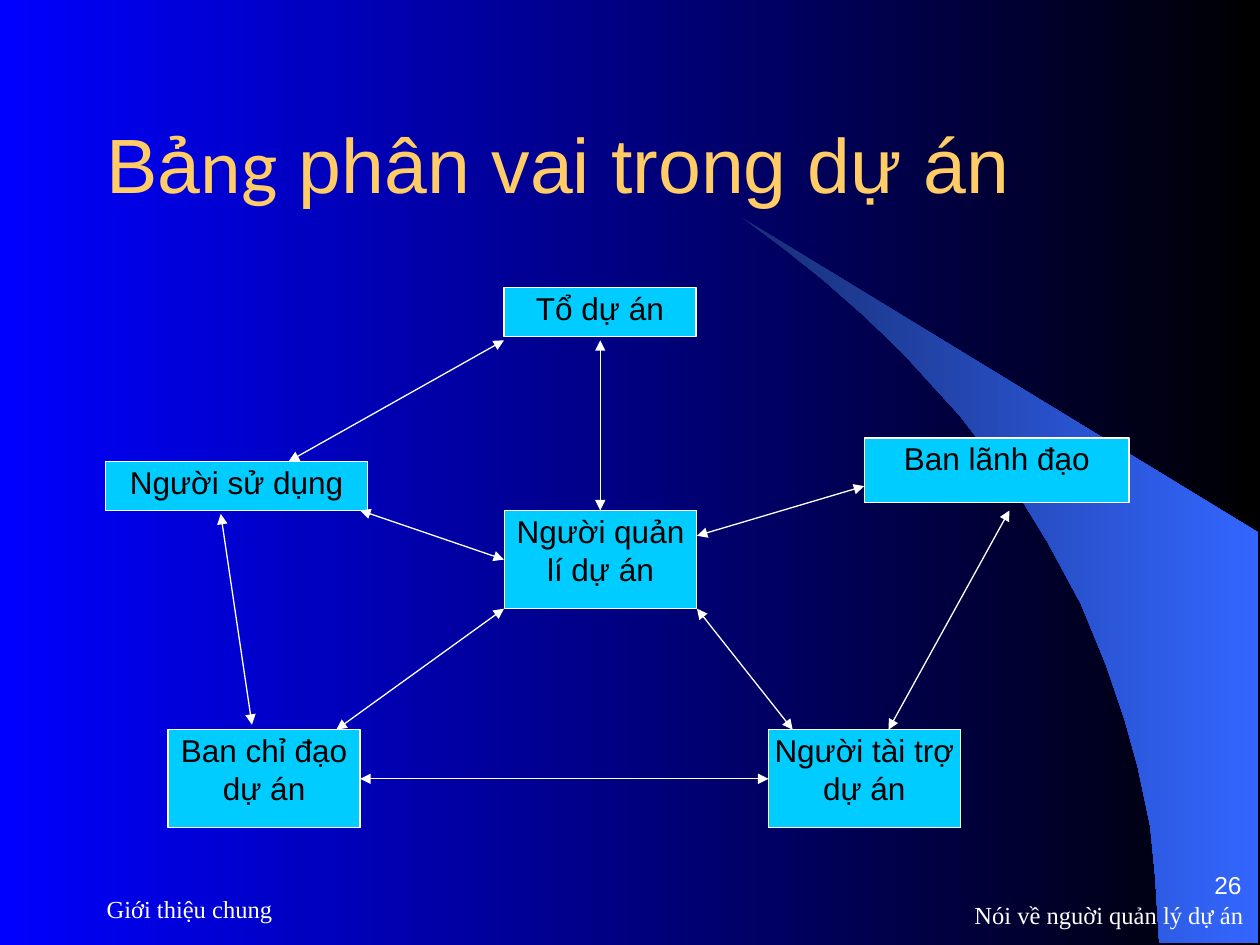
from dataclasses import dataclass

from lxml.etree import SubElement
from pptx import Presentation
from pptx.dml.color import RGBColor as RGB
from pptx.enum.shapes import MSO_CONNECTOR as LINE, MSO_SHAPE as SHAPE
from pptx.enum.text import MSO_ANCHOR as ANCHOR, PP_ALIGN as ALIGN
from pptx.oxml.ns import qn
from pptx.util import Cm, Pt


@dataclass(frozen=True)
class Theme:
    bg: tuple = ("0000FF", "000000")
    crescent: tuple = ("182F76", "3366FF")
    title: str = "FFCC66"
    light: str = "FFFFFF"
    dark: str = "000000"
    box: str = "00CCFF"
    sans: str = "Arial"
    serif: str = "Times New Roman"
    accent_font: str = "Calibri"
    title_size: int = 44
    box_size: int = 18
    footer_size: int = 14
    line: float = 0.75


class Deck:
    def __init__(self, theme):
        self.theme = theme
        self.prs = Presentation()
        self.prs.slide_width, self.prs.slide_height = Cm(25.4), Cm(19.05)
        self.s = self.prs.slides.add_slide(self.prs.slide_layouts[6])
        self.gradient(self.s.background.fill, theme.bg)

    def gradient(self, fill, colors):
        fill.gradient()
        fill.gradient_angle = 0
        for stop, color, position in zip(fill.gradient_stops, colors, (0, 1)):
            stop.color.rgb = RGB.from_string(color)
            stop.position = position

    def font(self, p, name, size, color):
        p.font.name, p.font.size = name, Pt(size)
        p.font.color.rgb = RGB.from_string(color)

    def stroke(self, line):
        line.color.rgb = RGB.from_string(self.theme.light)
        line.width = Pt(self.theme.line)

    def freeform(self, points, colors):
        pts = [(Cm(x), Cm(y)) for x, y in points]
        fb = self.s.shapes.build_freeform(*pts[0], scale=1.0)
        fb.add_line_segments(pts[1:], close=True)
        sp = fb.convert_to_shape()
        sp.shadow.inherit = False
        self.gradient(sp.fill, colors)
        sp.line.fill.background()

    def text(self, x, y, w, h, anchor=ANCHOR.MIDDLE):
        tf = self.s.shapes.add_textbox(Cm(x), Cm(y), Cm(w), Cm(h)).text_frame
        tf.word_wrap, tf.vertical_anchor = True, anchor
        return tf

    def title(self, runs, *place):
        t = self.theme
        p = self.text(*place).paragraphs[0]
        self.font(p, t.sans, t.title_size, t.title)
        for text, name in runs:
            r = p.add_run()
            r.text, r.font.name = text, name

    def footer(self, text, *place, name=None, align=ALIGN.RIGHT,
               anchor=ANCHOR.MIDDLE):
        t = self.theme
        tf = self.text(*place, anchor=anchor)
        if anchor == ANCHOR.BOTTOM:
            tf.margin_top = tf.margin_bottom = 0
        p = tf.paragraphs[0]
        p.text, p.alignment = text, align
        self.font(p, name or t.serif, t.footer_size, t.light)

    def box(self, text, x, y, w, h):
        t = self.theme
        sp = self.s.shapes.add_shape(SHAPE.RECTANGLE, Cm(x), Cm(y), Cm(w), Cm(h))
        sp.shadow.inherit = False
        sp.fill.solid()
        sp.fill.fore_color.rgb = RGB.from_string(t.box)
        self.stroke(sp.line)
        tf = sp.text_frame
        tf.word_wrap, tf.vertical_anchor = True, ANCHOR.TOP
        tf.margin_left = tf.margin_right = Cm(0.05)
        tf.margin_top = tf.margin_bottom = Cm(0.03)
        p = tf.paragraphs[0]
        p.text, p.alignment = text, ALIGN.CENTER
        self.font(p, t.sans, t.box_size, t.dark)

    def arrow(self, *ends):
        c = self.s.shapes.add_connector(LINE.STRAIGHT, *map(Cm, ends))
        self.stroke(c.line)
        ln = c.line._get_or_add_ln()
        for end in ("a:headEnd", "a:tailEnd"):
            SubElement(ln, qn(end), type="triangle")
        SubElement(c._element.spPr, qn("a:effectLst"))


CRESCENT = [
    (23.37, 19), (25.37, 19.02), (25.37, 10.74), (14.96, 4.39),
    (15.85, 5.05), (16.59, 5.64), (17.4, 6.35), (18.19, 7.11),
    (19.35, 8.38), (20.4, 9.75), (21.13, 10.95), (21.79, 12.17),
    (22.3, 13.41), (22.68, 14.53), (22.94, 15.47), (23.19, 16.66),
    (23.29, 17.68),
]

ROLES = [
    ("Người sử dụng", 2.13, 9.31, 5.28, 0.99),
    ("Tổ dự án", 10.16, 5.79, 3.87, 0.99),
    ("Ban lãnh đạo", 17.43, 8.83, 5.33, 1.3),
    ("Ban chỉ đạo dự án", 3.39, 14.71, 3.87, 1.98),
    ("Người tài trợ dự án", 15.49, 14.71, 3.87, 1.98),
    ("Người quản lí dự án", 10.17, 10.29, 3.87, 1.98),
]

LINKS = [
    (7.26, 15.7, 15.49, 15.7),
    (7.26, 10.29, 10.16, 11.28),
    (6.78, 14.71, 10.16, 12.27),
    (14.05, 12.27, 15.98, 14.71),
    (20.35, 10.29, 17.91, 14.71),
    (14.05, 10.8, 17.42, 9.8),
    (12.1, 10.29, 12.1, 6.86),
    (5.82, 9.3, 10.16, 6.86),
    (4.45, 10.36, 5.08, 14.61),
]


def main():
    t = Theme()
    deck = Deck(t)
    deck.freeform(CRESCENT, t.crescent)
    deck.footer("Nói về nguời quản lý dự án", 18.32, 17.91, 7, 1.07)
    deck.footer("Giới thiệu chung", 1.9, 17.68, 11.86, 1.27, align=ALIGN.LEFT)
    deck.footer("26", 20, 17.07, 5.28, 1.07, name=t.sans,
                anchor=ANCHOR.BOTTOM)
    deck.title([("Bả", t.sans), ("ng", t.accent_font),
                (" phân vai trong dự án", t.sans)], 1.9, 1.7, 22.45, 3.18)
    for role in ROLES:
        deck.box(*role)
    for link in LINKS:
        deck.arrow(*link)
    deck.prs.save("out.pptx")


if __name__ == "__main__":
    main()
